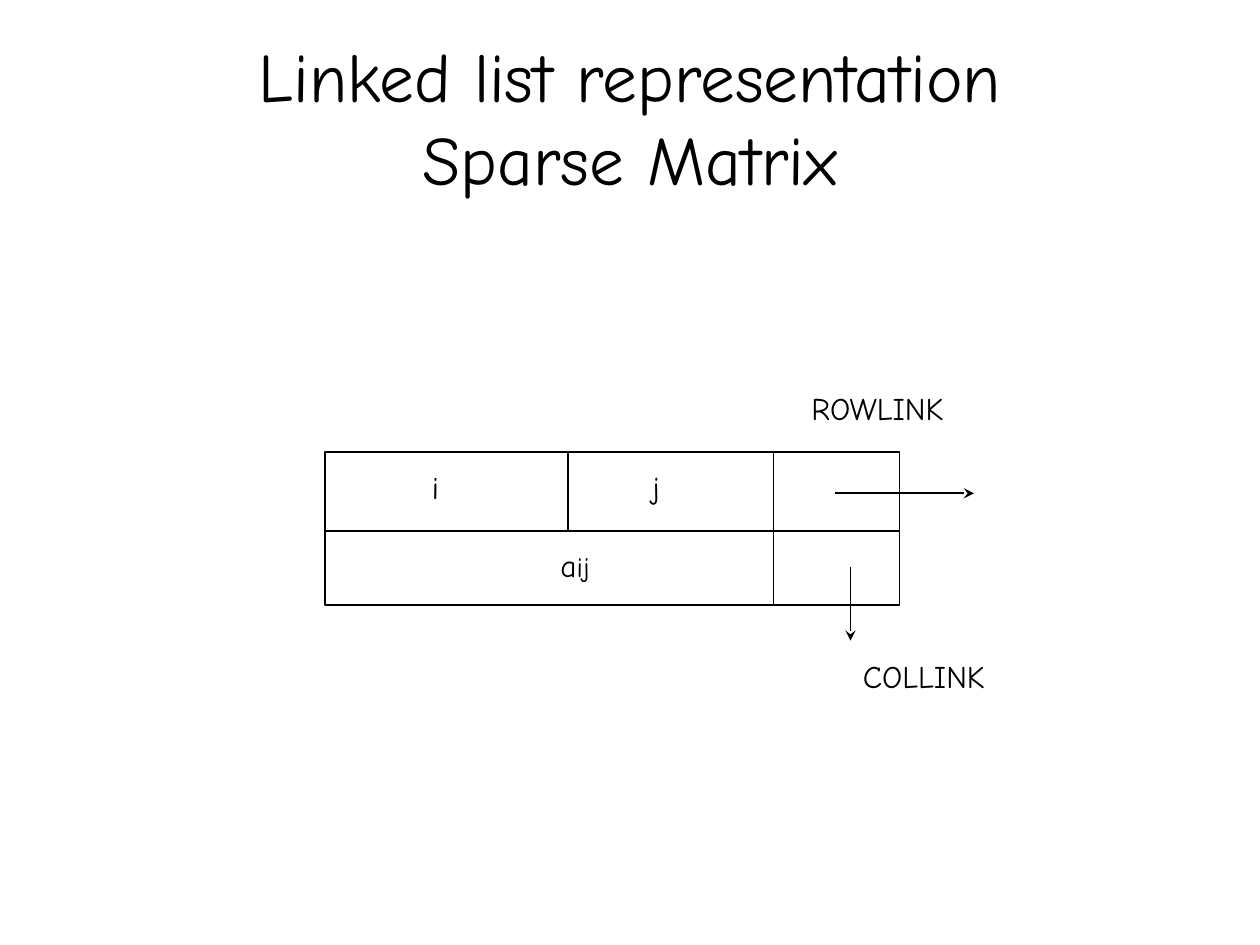
"""Build a slide showing the node layout of a linked-list sparse matrix."""
import dataclasses

import lxml.etree
import pptx
import pptx.dml.color
import pptx.enum.shapes
import pptx.enum.text
import pptx.oxml.ns
import pptx.util


@dataclasses.dataclass(frozen=True)
class Theme:
    font: str = "Comic Neue"
    ink: pptx.dml.color.RGBColor = pptx.dml.color.RGBColor(0, 0, 0)
    title: float = 39.6
    label: float = 18
    subscript: float = 16
    rule: float = 1


THEME = Theme()
WIDTH, HEIGHT = pptx.util.Inches(10), pptx.util.Inches(7.5)
LEFT, I_END, LINK, RIGHT = 25.8, 45.1, 61.4, 71.4
TOP, MIDDLE, BOTTOM = 47.8, 56.2, 64


def across(share):
    """Return a percentage of the slide width."""
    return round(WIDTH * share / 100)


def down(share):
    """Return a percentage of the slide height."""
    return round(HEIGHT * share / 100)


def style_line(line):
    """Give a line the theme's colour and weight."""
    line.color.rgb = THEME.ink
    line.width = pptx.util.Pt(THEME.rule)


def add_frame(s):
    """Draw the outer frame of the node."""
    sp = s.shapes.add_shape(
        pptx.enum.shapes.MSO_SHAPE.RECTANGLE,
        across(LEFT), down(TOP), across(RIGHT - LEFT), down(BOTTOM - TOP))
    sp.shadow.inherit = False
    sp.fill.background()
    style_line(sp.line)


def add_line(s, x1, y1, x2, y2, arrow=False):
    """Draw a straight line, with a stealth head at its end on request."""
    sp = s.shapes.add_connector(
        pptx.enum.shapes.MSO_CONNECTOR.STRAIGHT,
        across(x1), down(y1), across(x2), down(y2))
    style_line(sp.line)
    qn = pptx.oxml.ns.qn
    if arrow:
        ln = sp.line.fill and sp._element.spPr.find(qn("a:ln"))
        lxml.etree.SubElement(ln, qn("a:tailEnd"), type="stealth")
    lxml.etree.SubElement(sp._element.spPr, qn("a:effectLst"))


def add_text(s, x, y, w, h, runs, size, wrap=True):
    """Add a one-paragraph text box and return its shape and paragraph."""
    sp = s.shapes.add_textbox(across(x), down(y), across(w), down(h))
    tf = sp.text_frame
    tf.word_wrap = wrap
    p = tf.paragraphs[0]
    for text in runs:
        p.add_run().text = text
    p.font.name = THEME.font
    p.font.size = pptx.util.Pt(size)
    p.font.color.rgb = THEME.ink
    return sp, p


def add_title(s, first, second):
    """Add the centred two-line title."""
    sp, p = add_text(s, 5, 4, 90, 16.67, [first], THEME.title)
    sp.text_frame.vertical_anchor = pptx.enum.text.MSO_ANCHOR.MIDDLE
    p.alignment = pptx.enum.text.PP_ALIGN.CENTER
    p.add_line_break()
    p.add_run().text = second


def add_value(s):
    """Add the element value with its smaller index letters."""
    p = add_text(s, 43.5, 57.1, 4.7, 6.67, ["a", "ij"], THEME.label, False)[1]
    p.font.size = None
    for r, size in zip(p.runs, (THEME.label, THEME.subscript)):
        r.font.size = pptx.util.Pt(size)
        r.font.name = THEME.font
        r.font.color.rgb = THEME.ink


def main():
    """Build and save the slide."""
    prs = pptx.Presentation()
    prs.slide_width, prs.slide_height = WIDTH, HEIGHT
    s = prs.slides.add_slide(prs.slide_layouts[6])
    add_title(s, "Linked list representation", "Sparse Matrix")
    add_frame(s)
    add_line(s, LEFT, MIDDLE, RIGHT, MIDDLE)
    add_line(s, I_END, TOP, I_END, MIDDLE)
    add_line(s, LINK, TOP, LINK, BOTTOM)
    add_line(s, 66.3, 52.2, 77.3, 52.2, arrow=True)
    add_line(s, 67.5, 60, 67.5, 67.8, arrow=True)
    add_value(s)
    for text, x, y, w, h, wrap in (
            ("i", 33.3, 48.9, 2.9, 6.67, False),
            ("j", 50.8, 48.9, 2.9, 6.67, False),
            ("ROWLINK", 63.4, 40.5, 15.8, 5.33, True),
            ("COLLINK", 67.5, 68.9, 15.8, 5.33, True)):
        add_text(s, x, y, w, h, [text], THEME.label, wrap)
    prs.save("out.pptx")


if __name__ == "__main__":
    main()
